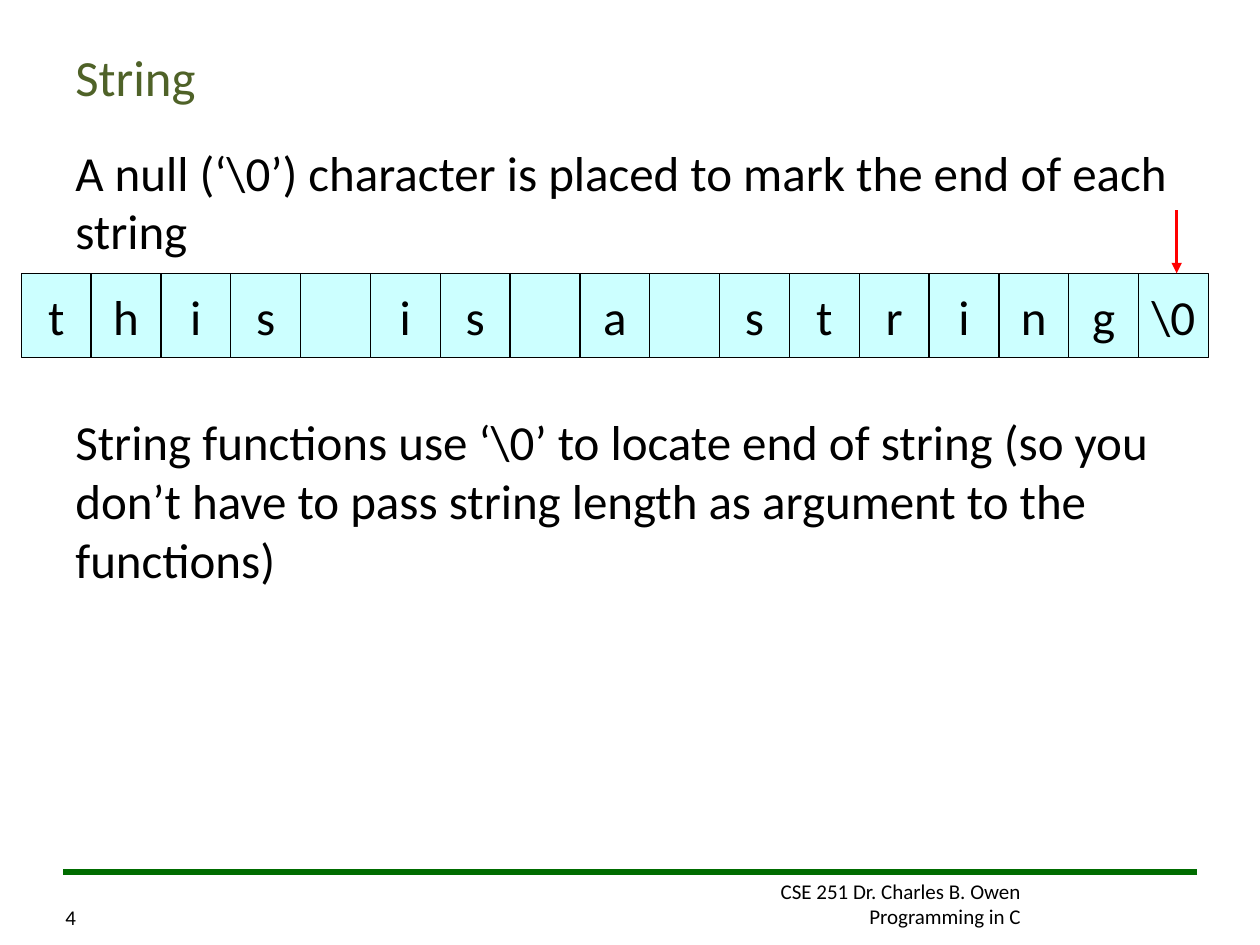
import pptx
import pptx.dml.color
import pptx.enum.shapes
import pptx.enum.text
import pptx.oxml
import pptx.oxml.ns
import pptx.util
from pptx.util import Cm, Pt

FONT = "Calibri"
BLACK = "000000"
ALIGN = pptx.enum.text.PP_ALIGN
ANCHOR = pptx.enum.text.MSO_ANCHOR


def color(hex_string):
    return pptx.dml.color.RGBColor.from_string(hex_string)


def style_paragraph(paragraph, text, size, hex_color=BLACK, align=ALIGN.LEFT, space_before=0):
    paragraph.text = text
    paragraph.alignment = align
    paragraph.space_before = Pt(space_before)
    paragraph.font.name = FONT
    paragraph.font.size = Pt(size)
    paragraph.font.color.rgb = color(hex_color)


def add_text(slide, box, lines, size, hex_color=BLACK, align=ALIGN.LEFT,
             anchor=ANCHOR.TOP, spaces=None):
    """Add a wrapping text box; spaces holds the points before each line."""
    left, top, width, height = box
    shape = slide.shapes.add_textbox(Cm(left), Cm(top), Cm(width), Cm(height))
    frame = shape.text_frame
    frame.word_wrap = True
    frame.vertical_anchor = anchor
    for index, line in enumerate(lines):
        paragraph = frame.paragraphs[0] if index == 0 else frame.add_paragraph()
        style_paragraph(paragraph, line, size, hex_color, align,
                        spaces[index] if spaces else 0)


def add_line(slide, start, end, hex_color, weight, arrow=False):
    connector = slide.shapes.add_connector(
        pptx.enum.shapes.MSO_CONNECTOR.STRAIGHT, *map(Cm, start + end))
    connector.line.color.rgb = color(hex_color)
    connector.line.width = Pt(weight)
    if arrow:
        pptx.oxml.ns.qn("a:tailEnd")
        tail = pptx.oxml.parse_xml(
            f'<a:tailEnd {pptx.oxml.ns.nsdecls("a")} type="triangle"/>')
        connector.line._get_or_add_ln().append(tail)
    effects = pptx.oxml.parse_xml(f'<a:effectLst {pptx.oxml.ns.nsdecls("a")}/>')
    connector._element.spPr.append(effects)


def add_title(slide, box):
    add_text(slide, box, ["String"], 29, "4F6228", anchor=ANCHOR.MIDDLE)


def add_body(slide, box):
    # The wide space before the second statement leaves room for the cells
    add_text(slide, box, [
        "A null (‘\\0’) character is placed to mark the end of each string",
        "String functions use ‘\\0’ to locate end of string (so you don’t have "
        "to pass string length as argument to the functions)",
    ], 28, spaces=[7, 87])


def add_character_cells(slide, box, characters):
    """One bordered cell per character, with an arrow to the last one."""
    left, top, width, height = box
    cell_width = width / len(characters)
    group = slide.shapes.add_group_shape()
    for index, character in enumerate(characters):
        cell = group.shapes.add_shape(
            pptx.enum.shapes.MSO_SHAPE.RECTANGLE,
            Cm(left + index * cell_width), Cm(top), Cm(cell_width), Cm(height))
        cell.shadow.inherit = False
        cell.fill.solid()
        cell.fill.fore_color.rgb = color("CCFFFF")
        cell.line.color.rgb = color(BLACK)
        cell.line.width = Pt(0.75)
        if character != " ":
            frame = cell.text_frame
            frame.word_wrap = False
            frame.vertical_anchor = ANCHOR.MIDDLE
            style_paragraph(frame.paragraphs[0], character, 28, align=ALIGN.CENTER)

    # Arrow to the null character
    arrow_x = left + width - 0.64
    add_line(slide, (arrow_x, top - 1.27), (arrow_x, top), "FF0000", 2, arrow=True)


def add_footer(slide, box):
    left, top, width, height = box
    add_line(slide, (left + width, top), (left, top), "006C00", 3)
    add_text(slide, (left + 11, top, 8.56, height),
             ["CSE 251 Dr. Charles B. Owen", "Programming in C"], 12, align=ALIGN.RIGHT)
    # Slide number, level with the second footer line
    add_text(slide, (left - 0.2, top + 0.52, 1.02, height - 0.52), ["4"], 12)


def main():
    presentation = pptx.Presentation()
    presentation.slide_width = Cm(25.4)
    presentation.slide_height = Cm(19.05)
    slide = presentation.slides.add_slide(presentation.slide_layouts[6])

    add_footer(slide, (1.27, 17.58, 22.86, 1.28))
    add_title(slide, (1.27, 0.76, 22.86, 1.57))
    add_body(slide, (1.27, 2.74, 22.86, 14.27))
    add_character_cells(slide, (0.43, 5.51, 23.93, 1.7),
                        [*"this is a string", "\\0"])

    presentation.save("out.pptx")


if __name__ == "__main__":
    main()
